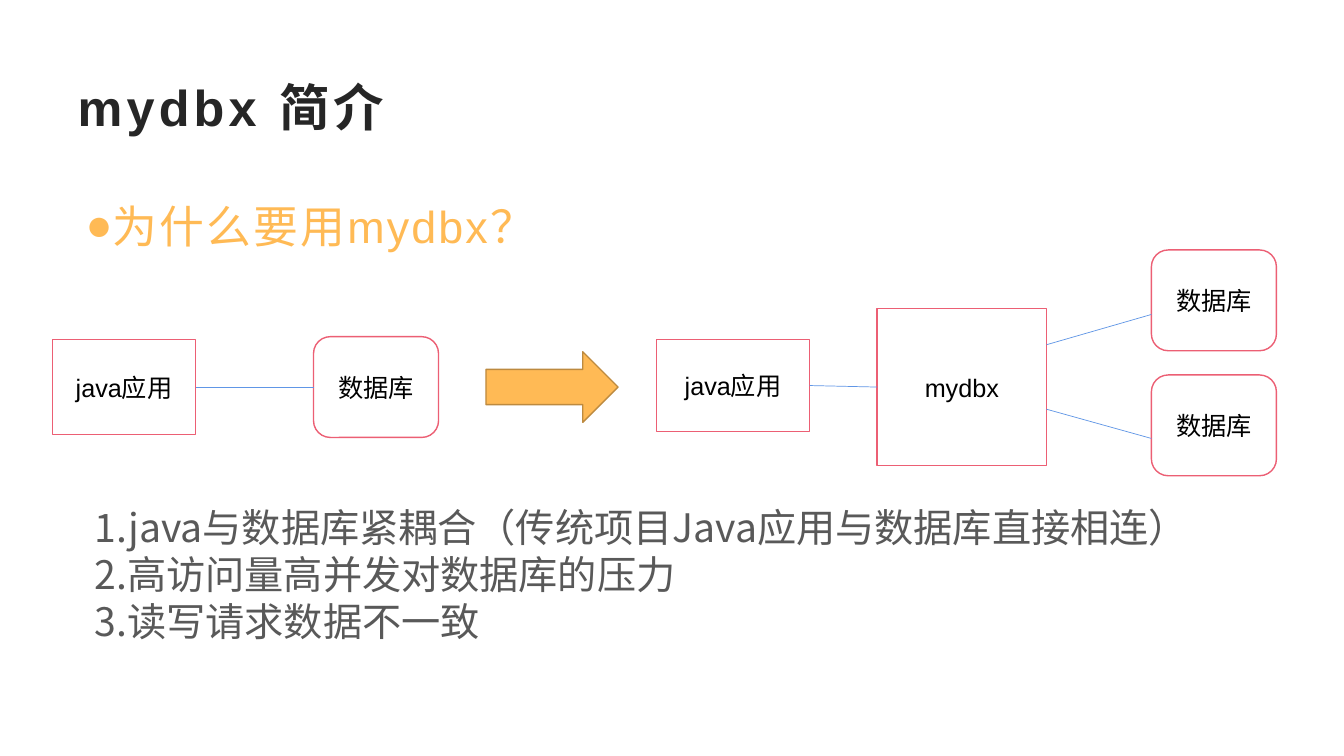
from lxml.etree import SubElement
from pptx import Presentation
from pptx.dml.color import RGBColor
from pptx.enum.shapes import MSO_CONNECTOR, MSO_SHAPE
from pptx.enum.text import MSO_ANCHOR, MSO_AUTO_SIZE, PP_ALIGN
from pptx.oxml.ns import qn
from pptx.util import Inches, Pt

COLORS = {
    "background": "FFFFFF",
    "title": "262626",
    "accent": "FFBA55",
    "arrow_line": "BD8A3F",
    "body": "595959",
    "box_line": "EC5F74",
    "box_text": "000000",
    "link": "6096E6",
}
LATIN_FONT = "Arial"
CHINESE_FONT = "Noto Sans CJK SC"
TOP, LEFT, BOTTOM, RIGHT = range(4)
REASONS = [
    "1.java与数据库紧耦合（传统项目Java应用与数据库直接相连）",
    "2.高访问量高并发对数据库的压力",
    "3.读写请求数据不一致",
]


def color(name):
    return RGBColor.from_string(COLORS[name])


def add_run(paragraph, text, size, color_name, font=LATIN_FONT, bold=False, spacing=0):
    """Add a run; spacing is the letter spacing in points."""
    run = paragraph.add_run()
    run.text = text
    run.font.name = font
    run.font.size = Pt(size)
    run.font.bold = bold
    run.font.color.rgb = color(color_name)
    properties = run.font._element
    properties.set("spc", str(int(spacing * 100)))
    SubElement(properties, qn("a:ea")).set("typeface", CHINESE_FONT)


def format_title(slide, text):
    title = slide.shapes.title
    title.left, title.top = Inches(0.67), Inches(0.67)
    title.width, title.height = Inches(12), Inches(0.77)
    frame = title.text_frame
    frame.auto_size = MSO_AUTO_SIZE.NONE
    frame.vertical_anchor = MSO_ANCHOR.MIDDLE
    paragraph = frame.paragraphs[0]
    paragraph.alignment = PP_ALIGN.LEFT
    add_run(paragraph, text, 36, "title", bold=True, spacing=3)


def add_text_frame(slide, left, top, width, height):
    text_box = slide.shapes.add_textbox(
        Inches(left), Inches(top), Inches(width), Inches(height))
    text_box.text_frame.word_wrap = True
    return text_box.text_frame


def set_indent(paragraph, margin, first_line=0):
    properties = paragraph._p.get_or_add_pPr()
    properties.set("marL", str(Inches(margin)))
    properties.set("indent", str(Inches(first_line)))
    return properties


def add_question(slide, text):
    paragraph = add_text_frame(slide, 0.75, 1.76, 11.84, 1.01).paragraphs[0]
    paragraph.line_spacing = 1.3
    paragraph.space_after = Pt(10)
    properties = set_indent(paragraph, 0.25, -0.25)
    SubElement(properties, qn("a:buFont")).set("typeface", LATIN_FONT)
    SubElement(properties, qn("a:buChar")).set("char", "●")
    add_run(paragraph, text, 32, "accent", spacing=1.5)


def add_reasons(slide, reasons):
    frame = add_text_frame(slide, 0.75, 4.94, 11.52, 1.51)
    for index, reason in enumerate(reasons):
        paragraph = frame.add_paragraph() if index else frame.paragraphs[0]
        set_indent(paragraph, 0.09)
        add_run(paragraph, reason, 28, "body", font=CHINESE_FONT)


def add_filled_shape(slide, kind, left, top, width, height, fill, line):
    shape = slide.shapes.add_shape(
        kind, Inches(left), Inches(top), Inches(width), Inches(height))
    shape.shadow.inherit = False
    shape.fill.solid()
    shape.fill.fore_color.rgb = color(fill)
    shape.line.color.rgb = color(line)
    shape.line.width = Pt(1)
    return shape


def add_box(slide, text, left, top, width, height, kind=MSO_SHAPE.RECTANGLE):
    box = add_filled_shape(
        slide, kind, left, top, width, height, "background", "box_line")
    box.text_frame.vertical_anchor = MSO_ANCHOR.MIDDLE
    paragraph = box.text_frame.paragraphs[0]
    paragraph.alignment = PP_ALIGN.CENTER
    add_run(paragraph, text, 18, "box_text")
    return box


def add_database(slide, left, top):
    return add_box(slide, "数据库", left, top, 1.24, 1, MSO_SHAPE.ROUNDED_RECTANGLE)


def add_link(slide, start=(0, 0), end=(0, 0)):
    link = slide.shapes.add_connector(
        MSO_CONNECTOR.STRAIGHT, *(Inches(length) for length in (*start, *end)))
    link.line.color.rgb = color("link")
    link.line.width = Pt(0.5)
    SubElement(link._element.spPr, qn("a:effectLst"))
    return link


def join_boxes(slide, left_box, right_box):
    link = add_link(slide)
    link.begin_connect(left_box, RIGHT)
    link.end_connect(right_box, LEFT)


def main():
    presentation = Presentation()
    presentation.slide_width = Inches(13.33)
    presentation.slide_height = Inches(7.5)
    slide = presentation.slides.add_slide(presentation.slide_layouts[5])

    format_title(slide, "mydbx 简介")
    add_question(slide, "为什么要用mydbx？")
    add_reasons(slide, REASONS)

    direct_application = add_box(slide, "java应用", 0.52, 3.37, 1.42, 0.94)
    direct_database = add_database(slide, 3.11, 3.34)
    join_boxes(slide, direct_application, direct_database)

    add_filled_shape(slide, MSO_SHAPE.RIGHT_ARROW, 4.82, 3.49, 1.31, 0.7,
                     "accent", "arrow_line")

    application = add_box(slide, "java应用", 6.51, 3.37, 1.52, 0.91)
    middleware = add_box(slide, "mydbx", 8.7, 3.06, 1.68, 1.56)
    join_boxes(slide, application, middleware)
    for database_top, start_y, end_y in ((2.48, 3.42, 3.12), (3.72, 4.06, 4.35)):
        add_database(slide, 11.42, database_top)
        add_link(slide, (10.38, start_y), (11.42, end_y))

    presentation.save("out.pptx")


if __name__ == "__main__":
    main()
